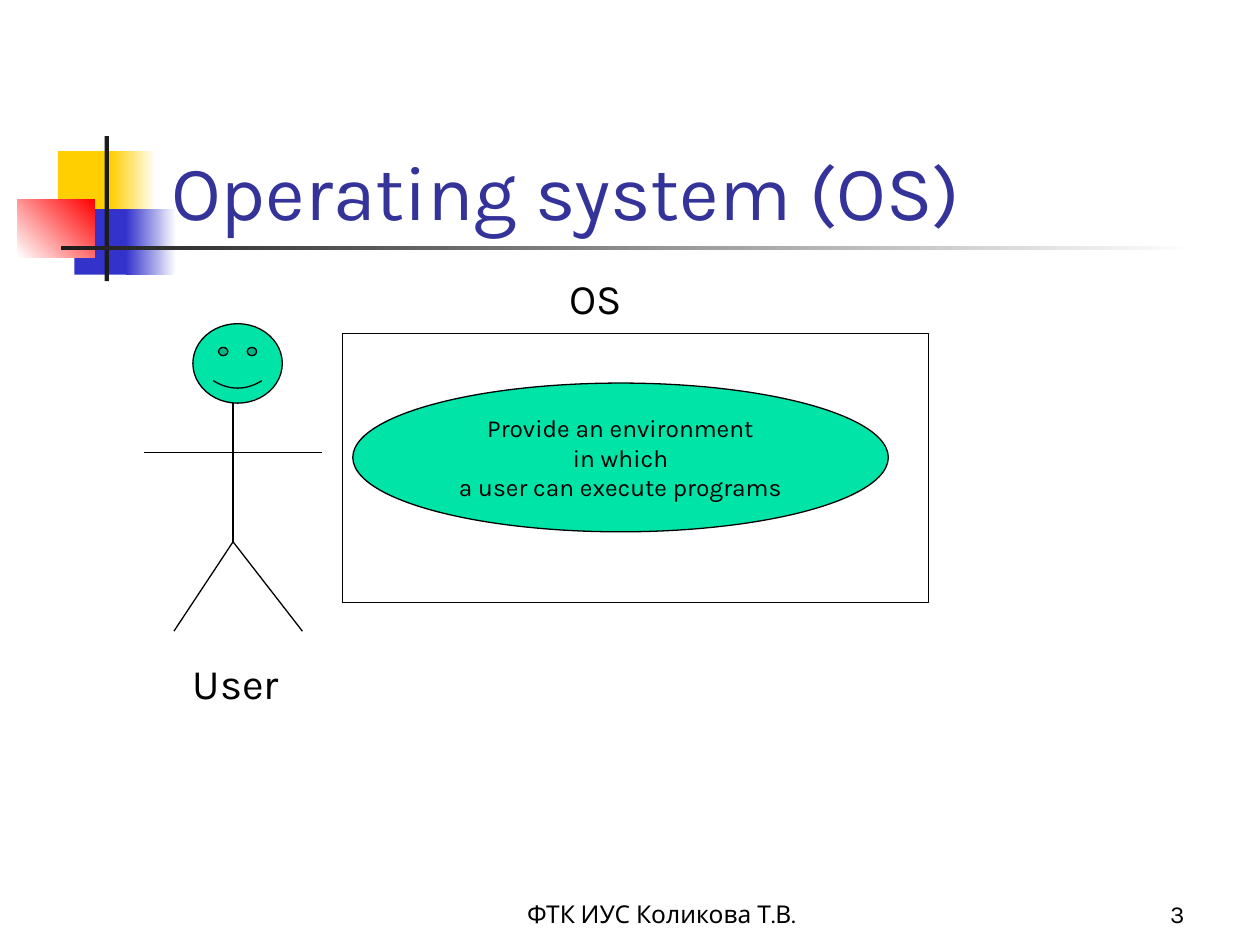
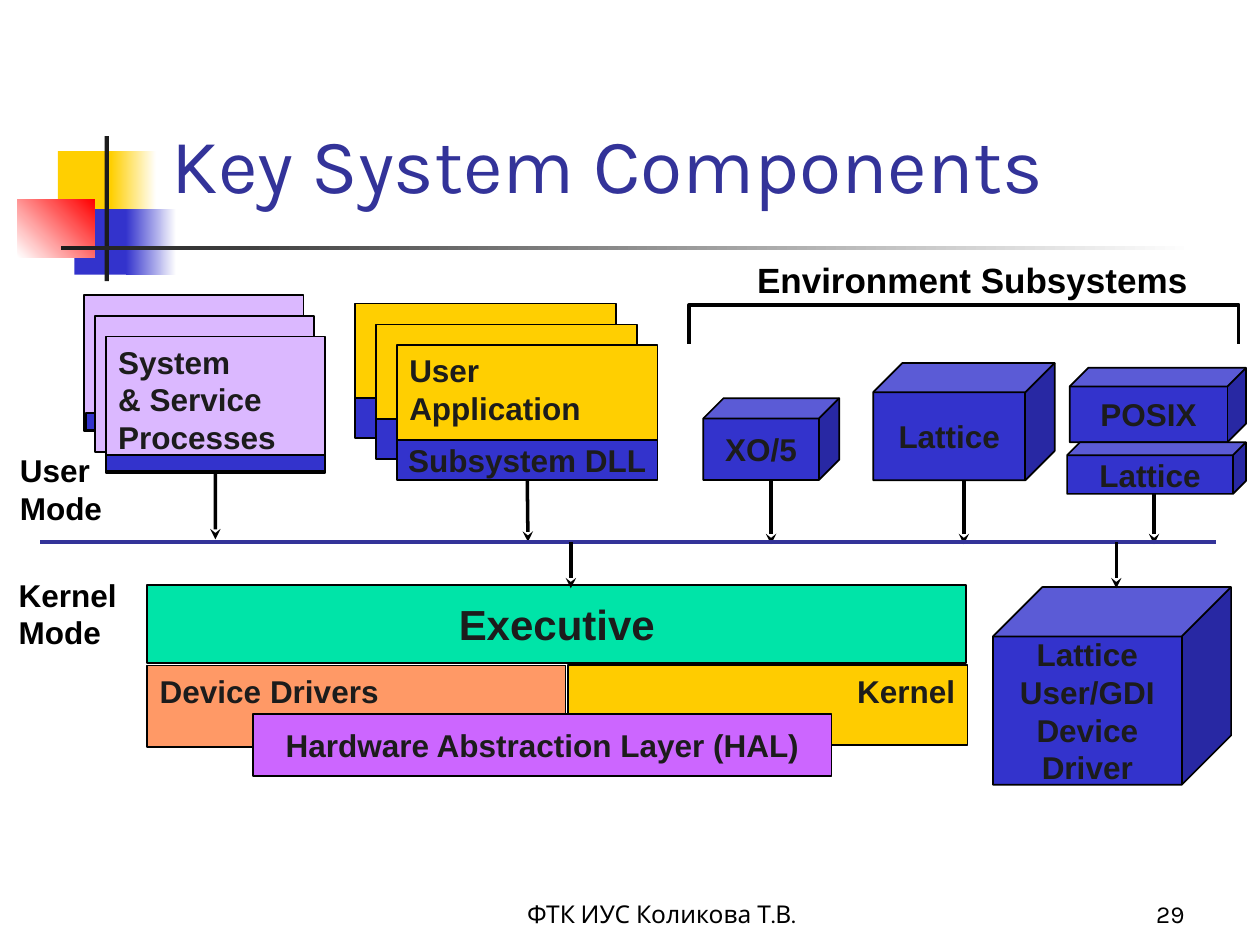
from lxml import etree
from pptx import Presentation
from pptx.dml.color import RGBColor
from pptx.enum.shapes import MSO_CONNECTOR, MSO_SHAPE
from pptx.enum.text import MSO_ANCHOR, MSO_AUTO_SIZE, PP_ALIGN
from pptx.oxml.ns import qn
from pptx.util import Pt

RECTANGLE, OVAL, CUBE = MSO_SHAPE.RECTANGLE, MSO_SHAPE.OVAL, MSO_SHAPE.CUBE
SMILEY = MSO_SHAPE.SMILEY_FACE
STRAIGHT = MSO_CONNECTOR.STRAIGHT
TOP, MIDDLE, BOTTOM = MSO_ANCHOR.TOP, MSO_ANCHOR.MIDDLE, MSO_ANCHOR.BOTTOM
LEFT, CENTER, RIGHT = PP_ALIGN.LEFT, PP_ALIGN.CENTER, PP_ALIGN.RIGHT
NO_FIT, GROW = MSO_AUTO_SIZE.NONE, MSO_AUTO_SIZE.SHAPE_TO_FIT_TEXT

COLORS = {
    "black": "000000",
    "white": "FFFFFF",
    "ink": "1C1C1C",
    "title": "333399",
    "blue": "3333CC",
    "yellow": "FFCF01",
    "red": "FF0000",
    "green": "00E4A8",
    "lilac": "DBB8FF",
    "orange": "FF9966",
    "amber": "FFCC00",
    "violet": "CC66FF",
}
BODY_FONT, DIAGRAM_FONT = "Karla", "Arial"
TITLE_ONLY = 5
FOOTER = "ФТК ИУС Коликова Т.В."
MODE_LINE_Y = 309.6

BAND = [
    ((33.1, 86.4, 34.6, 37.4), ("yellow",), 0),
    ((63.4, 86.4, 25.9, 37.4), ("yellow", "white"), 0),
    ((42.5, 119.5, 33.1, 37.4), ("blue",), 0),
    ((72, 119.5, 28.8, 37.4), ("blue", "white"), 0),
    ((10.1, 113.8, 43.9, 33.1), ("white", "red"), 45),
    ((59.8, 77.8, 2.5, 82.8), ("ink",), 0),
    ((34.6, 140.4, 648, 2.5), ("ink", "white"), 0),
]


def rgb(name):
    return RGBColor.from_string(COLORS[name])


def points(values):
    return [Pt(value) for value in values]


def write(shape, text, size, font=BODY_FONT, color="black", bold=False,
          align=LEFT, anchor=TOP, wrap=True):
    frame = shape.text_frame
    frame.text = text
    frame.word_wrap = wrap
    frame.vertical_anchor = anchor
    for para in frame.paragraphs:
        para.alignment = align
        for span in para.runs:
            span.font.size = Pt(size)
            span.font.name = font
            span.font.bold = bold
            span.font.color.rgb = rgb(color)


def add_box(page, kind, place, fill=None, line_width=1):
    box = page.shapes.add_shape(kind, *points(place))
    box.shadow.inherit = False
    if fill:
        box.fill.solid()
        box.fill.fore_color.rgb = rgb(fill)
    else:
        box.fill.background()
    if line_width:
        box.line.color.rgb = rgb("black")
        box.line.width = Pt(line_width)
    else:
        box.line.fill.background()
    return box


def add_block(page, kind, place, fill, text, size=18, align=CENTER, anchor=MIDDLE):
    block = add_box(page, kind, place, fill)
    write(block, text, size, DIAGRAM_FONT, "ink", True, align, anchor,
          wrap=align != CENTER)
    return block


def add_label(page, place, text, size, font=BODY_FONT, bold=False):
    label = page.shapes.add_textbox(*points(place))
    write(label, text, size, font, bold=bold, wrap=False)
    label.text_frame.auto_size = GROW


def add_line(page, start, end, color="black", width=0.75, arrow=False):
    line = page.shapes.add_connector(STRAIGHT, *points(start + end))
    line.line.color.rgb = rgb(color)
    line.line.width = Pt(width)
    if arrow:
        outline = line.line._get_or_add_ln()
        etree.SubElement(outline, qn("a:tailEnd"), type="stealth")
    etree.SubElement(line._element.spPr, qn("a:effectLst"))
    return line


def add_arrow(page, x, top, bottom):
    return add_line(page, (x, top), (x, bottom), width=2, arrow=True)


def add_band(page):
    for place, colors, angle in BAND:
        box = add_box(page, RECTANGLE, place, colors[0], line_width=0)
        if len(colors) > 1:
            box.fill.gradient()
            box.fill.gradient_angle = angle
            for stop, color in zip(box.fill.gradient_stops, colors):
                stop.color.rgb = rgb(color)


def add_footers(page, number):
    for place, text, align in [((264, 498.2, 228, 36), FOOTER, CENTER),
                               ((534, 498.2, 150, 36), number, RIGHT)]:
        box = page.shapes.add_textbox(*points(place))
        write(box, text, 14, align=align, anchor=BOTTOM)


def add_page(deck, title_text, title_anchor, number):
    page = deck.slides.add_slide(deck.slide_layouts[TITLE_ONLY])
    add_band(page)
    add_footers(page, number)
    title = page.shapes.title
    title.left, title.top, title.width, title.height = points((90.7, 48.2, 613.4, 90))
    write(title, title_text, 44, color="title", anchor=title_anchor)
    title.text_frame.auto_size = NO_FIT
    page.shapes.element.append(title.element)
    return page


def add_user_figure(page):
    face = add_box(page, SMILEY, (110.2, 185, 51.1, 45.4), "green", 0.75)
    face.adjustments[0] = 0.093
    neck, hip = (133.2, 230.4), (133.2, 309.6)
    for start, end in [(neck, hip), (hip, (99.4, 360.7)), (hip, (172.8, 360.7)),
                       ((82.1, 258.5), (184.3, 258.5))]:
        add_line(page, start, end)
    add_label(page, (103, 372.2, 67, 36), "User", 24)


def add_operating_system(page):
    purpose = add_box(page, OVAL, (201.6, 218.9, 306, 85), "green", 0.75)
    write(purpose, "Provide an environment\nin which\na user can execute programs",
          14, align=CENTER, anchor=MIDDLE, wrap=False)
    add_box(page, RECTANGLE, (195.8, 190.8, 334.8, 153.4), line_width=0.75)
    add_label(page, (318.2, 151.9, 46.1, 36), "OS", 24)


def add_system_processes(page):
    for step in range(3):
        place = (48.2 + 6.1 * step, 168.5 + 11.9 * step, 125.3, 78)
        card = add_box(page, RECTANGLE, place, "lilac")
        if step == 0:
            add_box(page, RECTANGLE, (49, 236.2, 118.8, 9.4), "blue")
    write(card, "System\n& Service\nProcesses", 18, DIAGRAM_FONT, "ink", True)
    add_box(page, RECTANGLE, (60.5, 259.9, 125.3, 9.4), "blue")
    return card


def add_user_applications(page):
    for step in range(3):
        left, top = 203 + 11.9 * step, 173.5 + 11.9 * step
        card = add_box(page, RECTANGLE, (left, top, 149, 64.8), "yellow")
        library = add_box(page, RECTANGLE, (left, top + 54, 149, 23), "blue")
    write(card, "User\nApplication", 18, DIAGRAM_FONT, "ink", True)
    write(library, "Subsystem DLL", 18, DIAGRAM_FONT, "ink", True, CENTER, MIDDLE, False)
    return library


def add_environment_bracket(page):
    left, right, top, bottom = points((393.8, 707.8, 174.2, 196.6))
    builder = page.shapes.build_freeform(left, bottom)
    builder.add_line_segments([(left, top), (right, top), (right, bottom)], close=False)
    bracket = builder.convert_to_shape()
    bracket.shadow.inherit = False
    bracket.fill.background()
    bracket.line.color.rgb = rgb("black")
    bracket.line.width = Pt(2)
    add_label(page, (425.5, 144, 260.6, 31), "Environment Subsystems", 20,
              DIAGRAM_FONT, True)


def add_user_mode(page):
    processes = add_system_processes(page)
    library = add_user_applications(page)
    add_environment_bracket(page)
    for place, name in [((401.8, 227.5, 77.8, 46.8), "XO/5"),
                        ((499, 207.4, 103.7, 67), "Lattice"),
                        ((611.3, 210.2, 100.8, 42.5), "POSIX")]:
        add_block(page, CUBE, place, "blue", name)
    add_arrow(page, 123.1, 272.2, 308.2).begin_connect(processes, 2)
    add_arrow(page, 301.7, 273.6, MODE_LINE_Y).begin_connect(library, 2)
    for x in (440.6, 550.8, 659.5):
        add_arrow(page, x, 275, 311)
    add_block(page, CUBE, (609.8, 252.7, 102.2, 29.5), "blue", "Lattice")
    add_label(page, (4.3, 254.2, 61.9, 50.4), "User\nMode", 18, DIAGRAM_FONT, True)


def add_kernel_mode(page):
    add_block(page, CUBE, (567.4, 335.5, 136.1, 113), "blue",
              "Lattice\nUser/GDI\nDevice\nDriver")
    add_block(page, RECTANGLE, (84.2, 334.1, 468, 44.6), "green", "Executive", 24)
    add_block(page, RECTANGLE, (84.2, 380.2, 239, 46.8), "orange", "Device Drivers",
              align=LEFT, anchor=TOP)
    add_block(page, RECTANGLE, (324.7, 380.2, 228.2, 45.4), "amber", "Kernel",
              align=RIGHT, anchor=TOP)
    add_block(page, RECTANGLE, (144.7, 408.2, 330.5, 35.3), "violet",
              "Hardware Abstraction Layer (HAL)")
    for x in (326.2, 637.9):
        add_arrow(page, x, MODE_LINE_Y, 336.2)
    add_label(page, (3.6, 325.4, 70.6, 50.4), "Kernel\nMode", 18, DIAGRAM_FONT, True)


def main():
    deck = Presentation()
    deck.slide_width, deck.slide_height = points((720, 540))

    page = add_page(deck, "Operating system (OS)", BOTTOM, "3")
    add_user_figure(page)
    add_operating_system(page)

    page = add_page(deck, "Key System Components", MIDDLE, "29")
    add_user_mode(page)
    add_line(page, (23, MODE_LINE_Y), (694.8, MODE_LINE_Y), "title", 2)
    add_kernel_mode(page)

    deck.save("out.pptx")


if __name__ == "__main__":
    main()
